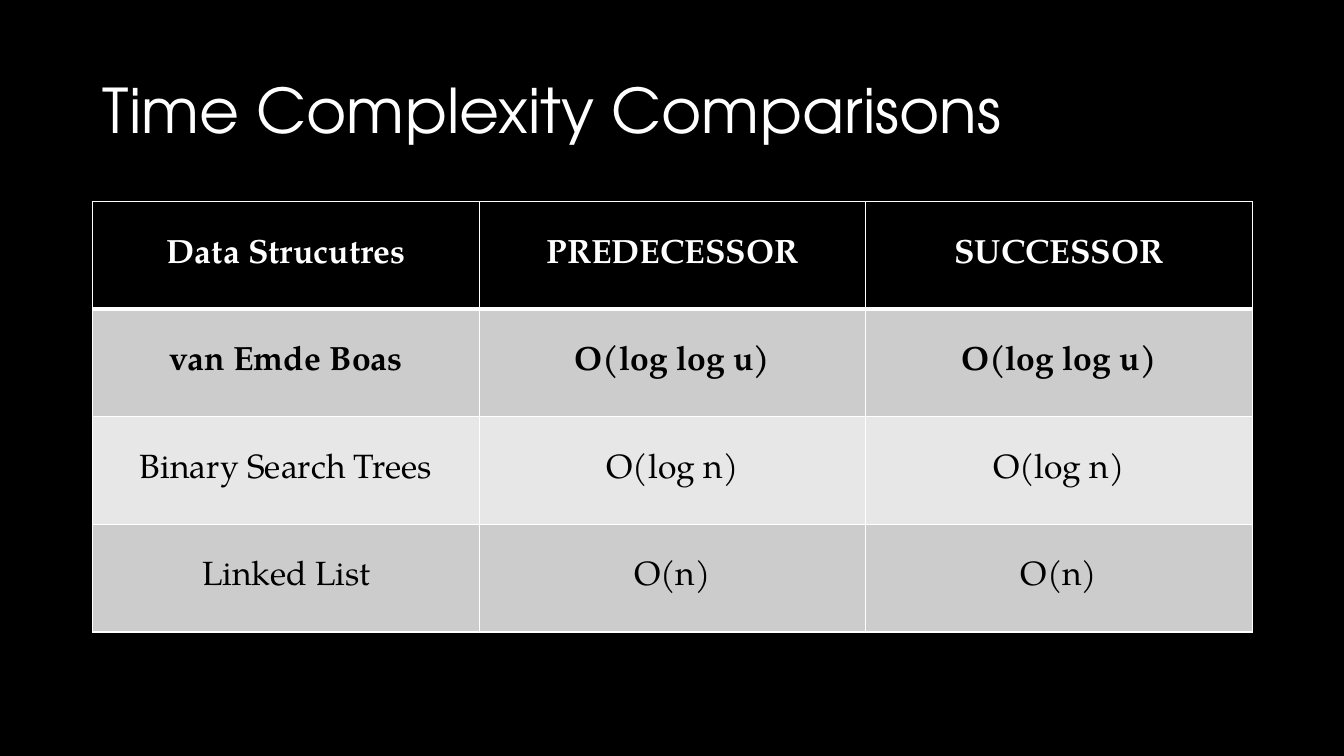
"""Build a slide comparing the time complexity of data structures."""
import pptx
import pptx.dml.color
import pptx.enum.text
import pptx.util
from lxml import etree
from pptx.oxml.ns import qn
from pptx.util import Inches

COLORS = {"black": "000000", "white": "FFFFFF", "dark": "CCCCCC", "light": "E7E7E7"}
ROWS = [
    ("Data Strucutres", "PREDECESSOR", "SUCCESSOR"),
    ("van Emde Boas", "O(log log u)", "O(log log u)"),
    ("Binary Search Trees", "O(log n)", "O(log n)"),
    ("Linked List", "O(n)", "O(n)"),
]
ROW_FILLS = ["black", "dark", "light", "dark"]


def rgb(name):
    return pptx.dml.color.RGBColor.from_string(COLORS[name])


def add_border(cell, side, points):
    properties = cell._tc.get_or_add_tcPr()
    line = etree.SubElement(properties, qn(f"a:{side}"), w=str(pptx.util.Pt(points)))
    fill = etree.SubElement(line, qn("a:solidFill"))
    etree.SubElement(fill, qn("a:srgbClr"), val=COLORS["white"])


deck = pptx.Presentation()
deck.slide_width = Inches(13.33)
deck.slide_height = Inches(7.5)
page = deck.slides.add_slide(deck.slide_layouts[5])
page.background.fill.solid()
page.background.fill.fore_color.rgb = rgb("black")

title = page.shapes.title
title.left, title.top = Inches(0.92), Inches(0.4)
title.width, title.height = Inches(11.5), Inches(1.45)
title.text_frame.text = "Time Complexity Comparisons"
title.text_frame.vertical_anchor = pptx.enum.text.MSO_ANCHOR.MIDDLE
para = title.text_frame.paragraphs[0]
para.alignment = pptx.enum.text.PP_ALIGN.LEFT
para.line_spacing = 0.9
para.font.name = "TeX Gyre Adventor"
para.font.size = pptx.util.Pt(44)
para.font.color.rgb = rgb("white")

table = page.shapes.add_table(
    len(ROWS), len(ROWS[0]), Inches(0.92), Inches(2), Inches(11.5), Inches(4.27)
).table
for row_index, (texts, fill_name) in enumerate(zip(ROWS, ROW_FILLS)):
    for column_index, text in enumerate(texts):
        cell = table.cell(row_index, column_index)
        add_border(cell, "lnL", 1)
        add_border(cell, "lnR", 1)
        add_border(cell, "lnT", 3 if row_index == 1 else 1)
        add_border(cell, "lnB", 3 if row_index == 0 else 1)
        cell.fill.solid()
        cell.fill.fore_color.rgb = rgb(fill_name)
        cell.vertical_anchor = pptx.enum.text.MSO_ANCHOR.MIDDLE
        cell.text = text
        para = cell.text_frame.paragraphs[0]
        para.alignment = pptx.enum.text.PP_ALIGN.CENTER
        para.font.name = "TeX Gyre Pagella"
        para.font.size = pptx.util.Pt(24)
        para.font.bold = row_index < 2
        para.font.color.rgb = rgb("white" if row_index == 0 else "black")

deck.save("out.pptx")
